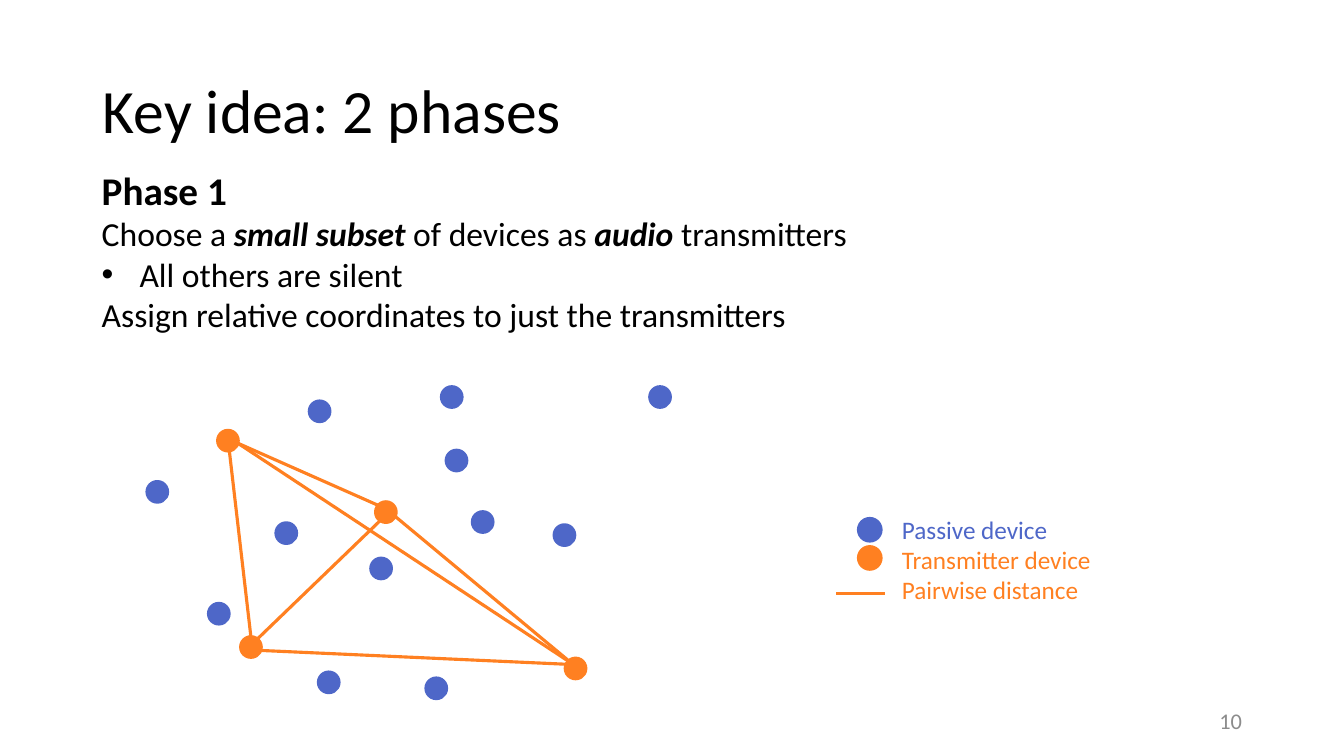
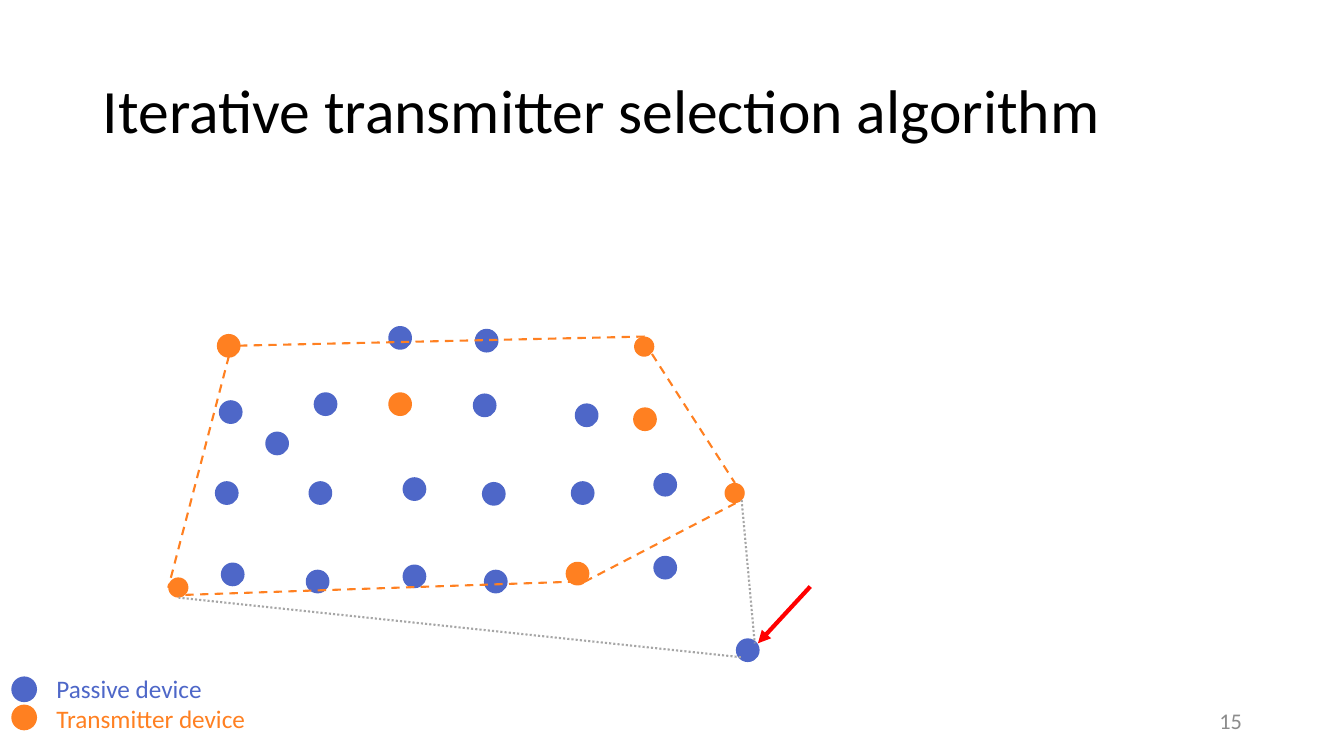
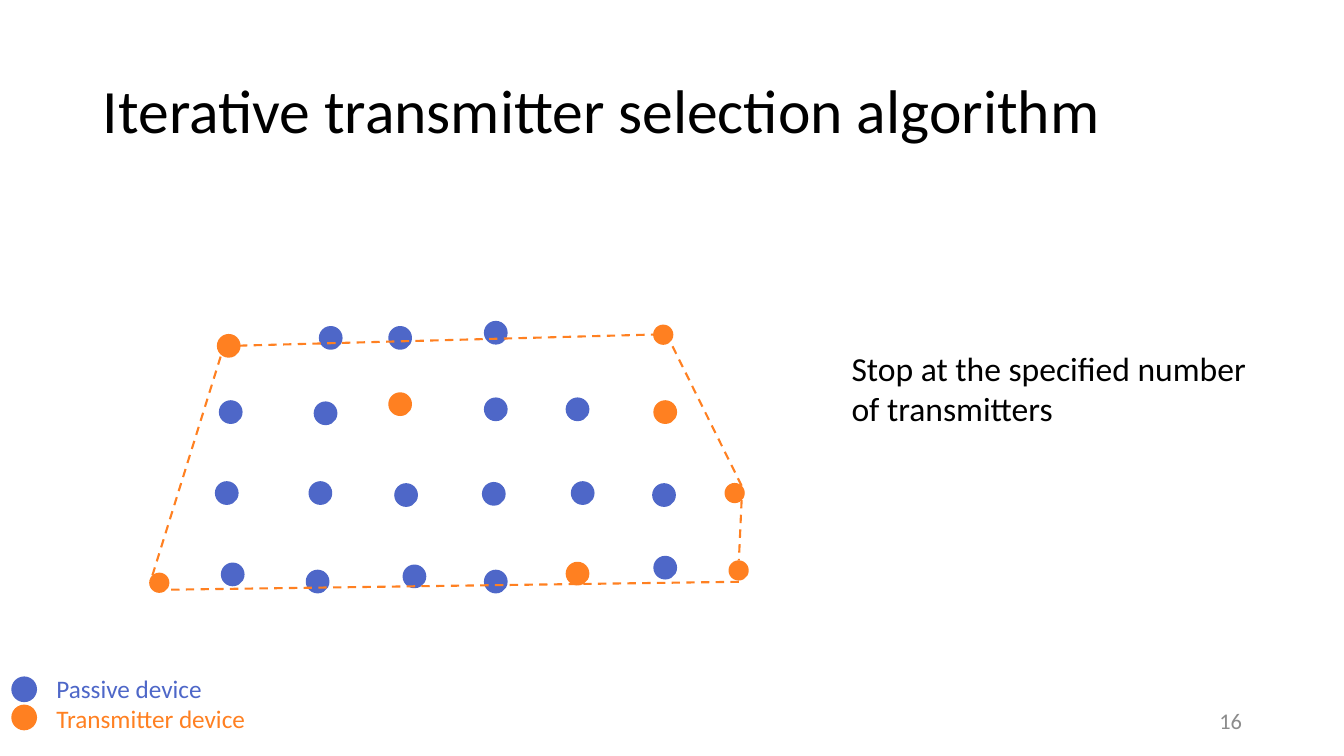
"""Builds three slides on choosing audio transmitters among devices."""
from lxml.etree import SubElement
from pptx import Presentation
from pptx.dml.color import RGBColor
from pptx.enum.dml import MSO_LINE
from pptx.enum.shapes import MSO_CONNECTOR, MSO_SHAPE
from pptx.enum.text import MSO_ANCHOR, MSO_AUTO_SIZE, PP_ALIGN
from pptx.oxml.ns import qn
from pptx.util import Cm, Pt

COLORS = {"text": "000000", "number": "8C8C8C", "passive": "4E67C8",
          "transmitter": "FF8021", "candidate": "A6A6A6", "pointer": "FF0000"}
FONT = "Calibri"
DOT_SIZE = 0.51
LEGEND_DOT_SIZE = 0.56
LEGEND_STEP = 0.71
TITLE_ONLY, TITLE_AND_CONTENT = 5, 1

LINE_STYLES = {
    "distance": ("transmitter", 2.25, None),
    "hull": ("transmitter", 1.5, MSO_LINE.DASH),
    "extension": ("candidate", 1.5, MSO_LINE.ROUND_DOT),
    "arrow": ("pointer", 3, None),
}
DEVICE_LEGEND = [("Passive device", "passive"), ("Transmitter device", "transmitter")]
DISTANCE_LEGEND = DEVICE_LEGEND + [("Pairwise distance", "transmitter")]

PHASE_LINES = [
    (False, 28, [("Phase 1", "b")]),
    (False, 24, [("Choose a ", ""), ("small subset", "bi"), (" of devices as ", ""),
                 ("audio", "bi"), (" transmitters", "")]),
    (True, 24, [("All others are silent", "")]),
    (False, 24, [("Assign relative coordinates to just the transmitters", "")]),
]
PHASE_PASSIVE = [
    (11.13, 9.75), (11.25, 11.35), (3.71, 12.14), (7.8, 10.11), (5.26, 15.21),
    (13.97, 13.23), (16.38, 9.75), (6.96, 13.18), (9.35, 14.07), (11.91, 12.9),
    (10.74, 17.09), (8.03, 16.94)]
PHASE_TRANSMITTERS = [(5.49, 10.85), (9.47, 12.65), (6.07, 16.05), (14.25, 16.59)]
PHASE_DISTANCES = [
    (9.68, 12.78, 14.68, 16.94), (5.77, 11.02, 14.55, 16.81),
    (9.86, 12.85, 6.27, 16.31), (14.76, 16.76, 6.35, 16.38),
    (5.74, 11.02, 6.35, 16.28), (9.68, 12.8, 5.84, 11.1)]

COMMON_DOTS = {
    "passive": [(5.56, 10.13), (5.46, 12.17), (9.83, 8.26), (7.82, 12.17),
                (5.61, 14.22), (12.24, 14.4), (10.19, 14.27), (7.75, 14.4),
                (16.51, 14.05), (12.19, 12.19), (14.43, 12.17)],
    "inner": [(5.51, 8.46), (9.83, 9.93), (14.3, 14.2)],
    "corner": [(18.26, 12.17)],
}
ITERATIONS = [
    {"number": "15",
     "passive": [(7.95, 9.93), (6.73, 10.92), (11.96, 9.96), (10.19, 12.07),
                 (12.01, 8.33), (14.53, 10.21), (18.59, 16.13), (16.51, 11.96)],
     "inner": [(16, 10.31)],
     "corner": [(4.24, 14.55), (15.98, 8.48)],
     "lines": {
         "arrow": [(20.42, 14.78, 19.1, 16.21)],
         "hull": [(6.02, 8.71, 16.26, 8.48), (5.77, 8.97, 4.24, 14.81),
                  (4.67, 14.99, 14.38, 14.66), (14.73, 14.66, 18.69, 12.6),
                  (16.43, 8.92, 18.52, 12.17)],
         "extension": [(18.67, 16.56, 4.5, 15.06), (18.69, 12.6, 19.02, 16.21)]},
     "note": None},
    {"number": "16",
     "passive": [(7.95, 10.16), (8.08, 8.26), (12.24, 10.06), (9.98, 12.22),
                 (12.24, 8.13), (14.3, 10.06), (16.48, 12.22)],
     "inner": [(16.51, 10.13)],
     "corner": [(3.76, 14.43), (18.36, 14.12), (16.46, 8.18)],
     "lines": {
         "hull": [(6.02, 8.71, 16.46, 8.43), (3.84, 14.5, 5.59, 8.89),
                  (18.69, 12.24, 16.89, 8.61), (18.69, 12.6, 18.62, 14.12),
                  (18.62, 14.66, 4.22, 14.86)]},
     "note": "Stop at the specified number of transmitters"},
]


def color(name):
    return RGBColor.from_string(COLORS[name])


def place(shape, left, top, width, height):
    shape.left, shape.top = Cm(left), Cm(top)
    shape.width, shape.height = Cm(width), Cm(height)


def add_span(para, text, size, color_name="text", style=""):
    span = para.add_run()
    span.text = text
    span.font.name, span.font.size = FONT, Pt(size)
    span.font.color.rgb = color(color_name)
    span.font.bold, span.font.italic = "b" in style, "i" in style


def add_box(page, left, top, width, height):
    box = page.shapes.add_textbox(Cm(left), Cm(top), Cm(width), Cm(height))
    box.text_frame.word_wrap = True
    return box.text_frame


def next_para(frame, index):
    return frame.add_paragraph() if index else frame.paragraphs[0]


def add_page(deck, layout, title, number):
    page = deck.slides.add_slide(deck.slide_layouts[layout])
    place(page.shapes.title, 2.34, 1.02, 29.21, 3.68)
    frame = page.shapes.title.text_frame
    frame.auto_size = MSO_AUTO_SIZE.NONE
    frame.vertical_anchor = MSO_ANCHOR.MIDDLE
    para = frame.paragraphs[0]
    para.alignment, para.line_spacing = PP_ALIGN.LEFT, 0.9
    add_span(para, title, 44)
    frame = add_box(page, 23.93, 17.65, 7.62, 1.02)
    frame.vertical_anchor = MSO_ANCHOR.MIDDLE
    frame.paragraphs[0].alignment = PP_ALIGN.RIGHT
    add_span(frame.paragraphs[0], number, 16, "number")
    return page


def add_dots(page, color_name, corners, size=DOT_SIZE, ringed=True):
    for left, top in corners:
        dot = page.shapes.add_shape(MSO_SHAPE.OVAL, Cm(left), Cm(top), Cm(size), Cm(size))
        dot.shadow.inherit = False
        dot.fill.solid()
        dot.fill.fore_color.rgb = color(color_name)
        if ringed:
            dot.line.color.rgb = color(color_name)
            dot.line.width = Pt(2.5)
        else:
            dot.line.fill.background()


def add_lines(page, style, segments):
    color_name, width, dash = LINE_STYLES[style]
    for segment in segments:
        line = page.shapes.add_connector(MSO_CONNECTOR.STRAIGHT, *map(Cm, segment))
        line.line.color.rgb = color(color_name)
        line.line.width = Pt(width)
        if dash:
            line.line.dash_style = dash
        if style == "arrow":
            SubElement(line.line._get_or_add_ln(), qn("a:tailEnd"), type="triangle")
        SubElement(line._element.spPr, qn("a:effectLst"))


def add_legend(page, left, top, width, height, entries):
    frame = add_box(page, left, top, width, height)
    frame.margin_left = frame.margin_right = frame.margin_top = frame.margin_bottom = 0
    for index, (label, color_name) in enumerate(entries):
        add_span(next_para(frame, index), label, 18, color_name)
    for index, (_, color_name) in enumerate(DEVICE_LEGEND):
        corner = (left - 1.09, top + 0.12 + index * LEGEND_STEP)
        add_dots(page, color_name, [corner], LEGEND_DOT_SIZE)


def add_phase_text(page):
    body = page.placeholders[1]
    place(body, 2.31, 4.06, 19.33, 4.52)
    frame = body.text_frame
    frame.auto_size = MSO_AUTO_SIZE.NONE
    for index, (bulleted, size, spans) in enumerate(PHASE_LINES):
        para = next_para(frame, index)
        para.space_before = Pt(0)
        if not bulleted:
            properties = para._p.get_or_add_pPr()
            properties.set("marL", "0")
            properties.set("indent", "0")
            SubElement(properties, qn("a:buNone"))
        for text, style in spans:
            add_span(para, text, size, style=style)


def add_phase_page(deck):
    page = add_page(deck, TITLE_AND_CONTENT, "Key idea: 2 phases", "10")
    add_phase_text(page)
    add_lines(page, "distance", [(22.3, 14.96, 21.06, 14.96)])
    add_legend(page, 22.73, 12.95, 7.44, 3.23, DISTANCE_LEGEND)
    add_dots(page, "passive", PHASE_PASSIVE)
    add_lines(page, "distance", PHASE_DISTANCES)
    add_dots(page, "transmitter", PHASE_TRANSMITTERS)


def add_iteration_page(deck, iteration):
    page = add_page(deck, TITLE_ONLY, "Iterative transmitter selection algorithm",
                    iteration["number"])
    for kind, common in COMMON_DOTS.items():
        color_name = "passive" if kind == "passive" else "transmitter"
        add_dots(page, color_name, common + iteration[kind], ringed=kind != "corner")
    for style, segments in iteration["lines"].items():
        add_lines(page, style, segments)
    add_legend(page, 1.42, 16.97, 5.64, 1.73, DEVICE_LEGEND)
    if iteration["note"]:
        frame = add_box(page, 21.21, 8.64, 11.33, 2.31)
        add_span(frame.paragraphs[0], iteration["note"], 24)


def main():
    deck = Presentation()
    deck.slide_width, deck.slide_height = Cm(33.87), Cm(19.05)
    add_phase_page(deck)
    for iteration in ITERATIONS:
        add_iteration_page(deck, iteration)
    deck.save("out.pptx")


if __name__ == "__main__":
    main()
